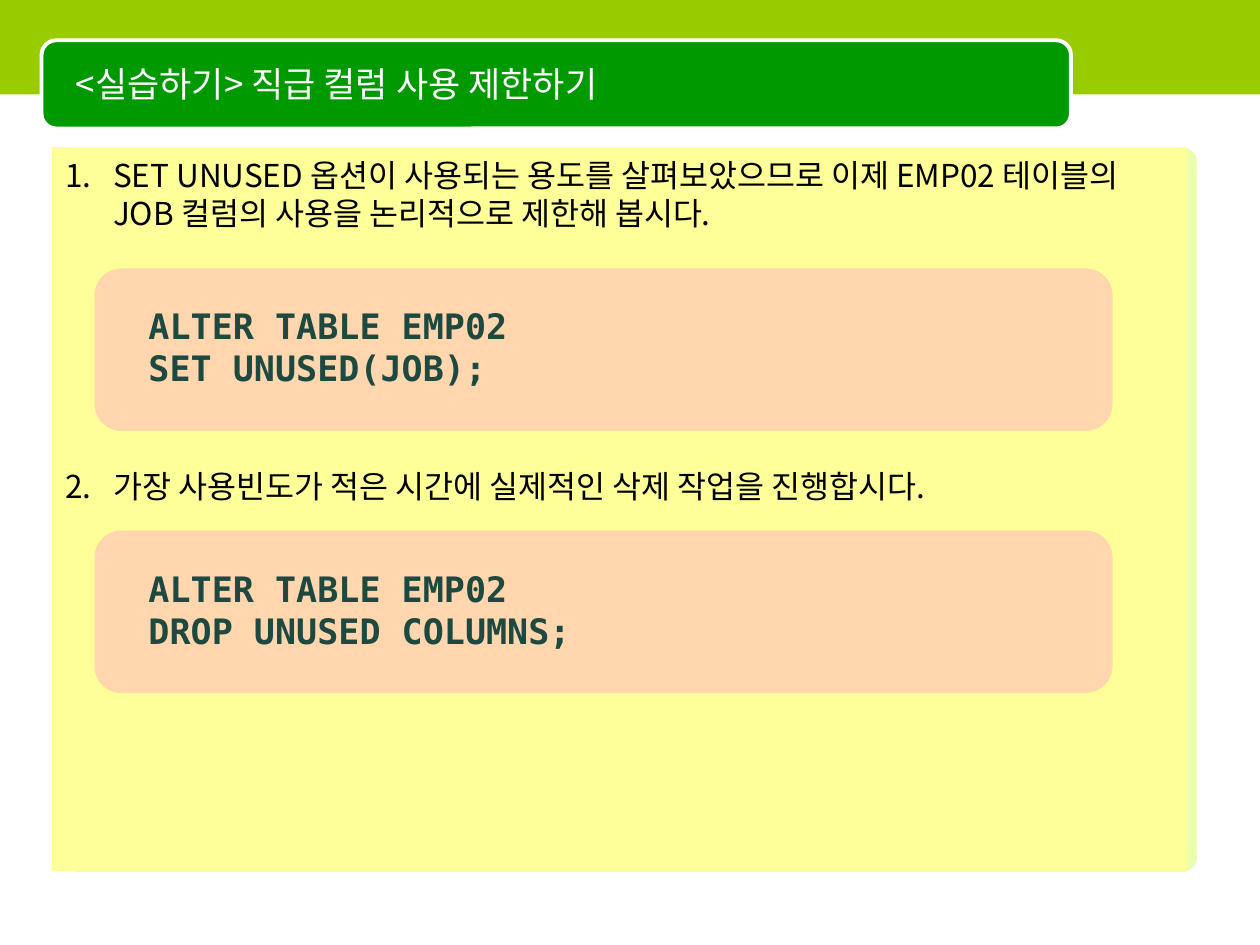
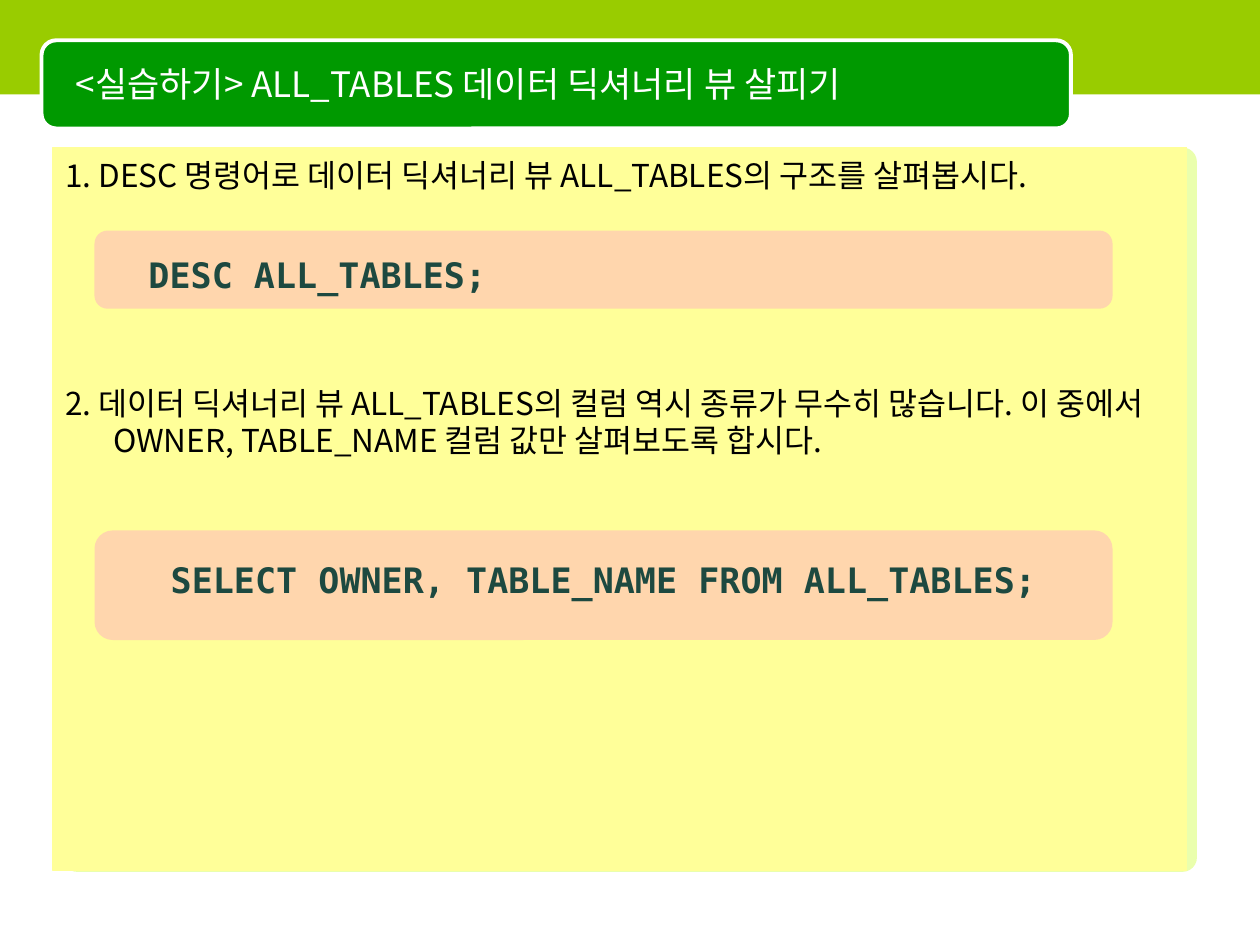
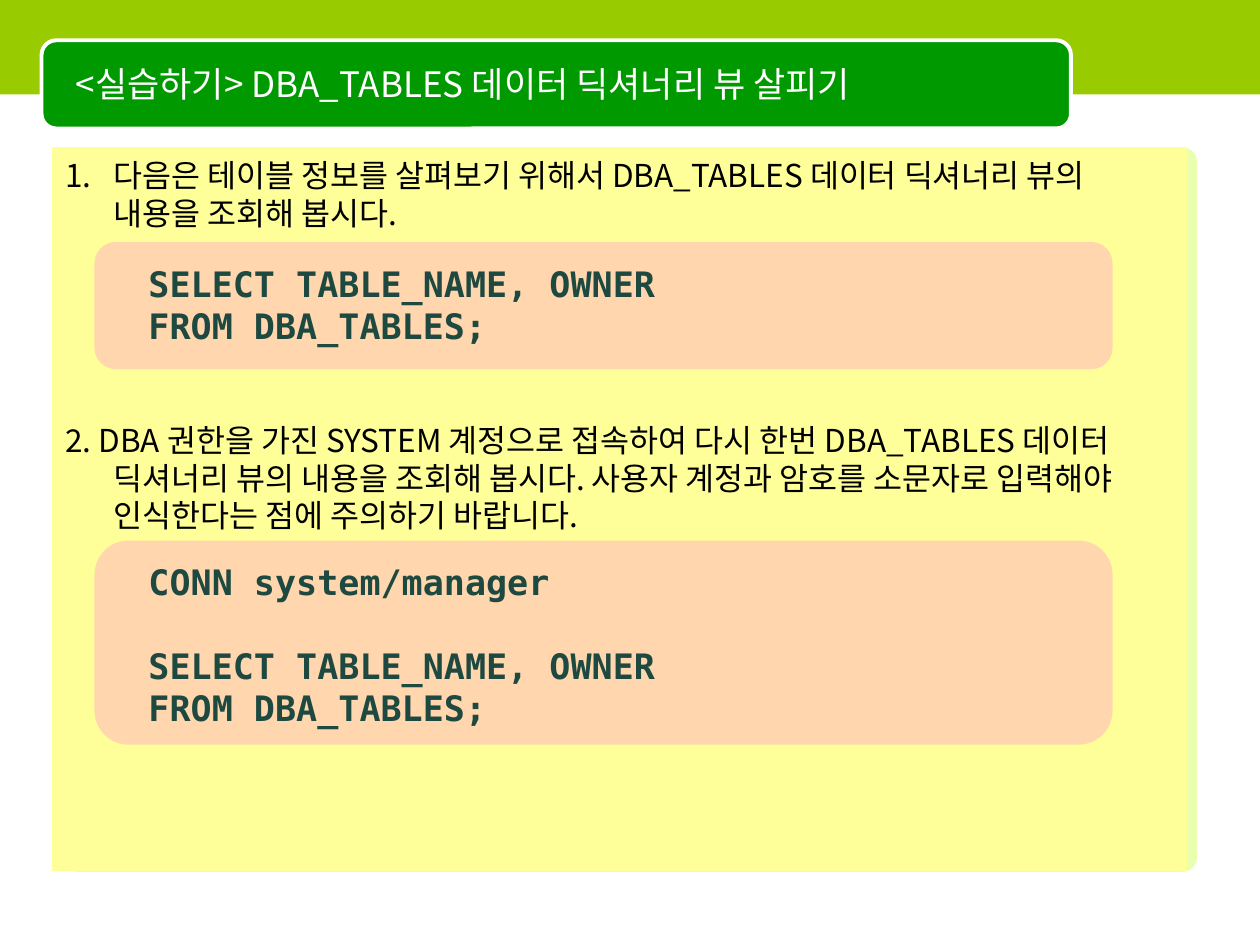
from dataclasses import dataclass

from lxml import etree
from pptx import Presentation
from pptx.dml.color import RGBColor
from pptx.enum.shapes import MSO_SHAPE
from pptx.enum.text import MSO_ANCHOR, MSO_AUTO_SIZE, PP_ALIGN
from pptx.oxml.ns import qn
from pptx.util import Inches, Pt

RECT = MSO_SHAPE.RECTANGLE
ROUND = MSO_SHAPE.ROUNDED_RECTANGLE
LEFT, CENTER = PP_ALIGN.LEFT, PP_ALIGN.CENTER
TOP, MIDDLE = MSO_ANCHOR.TOP, MSO_ANCHOR.MIDDLE
NO_FIT = MSO_AUTO_SIZE.NONE
TITLE_ONLY = 5


@dataclass(frozen=True)
class Theme:
    band: str = "99CC00"
    plate: str = "009900"
    edge: str = "CCFF33"
    panel: str = "FFFF99"
    card: str = "FF99CC"
    white: str = "FFFFFF"
    ink: str = "000000"
    code: str = "1D4940"
    font: str = "Noto Sans CJK KR"
    mono: str = "DejaVu Sans Mono"
    title_size: float = 20
    step_size: float = 18
    code_size: float = 20
    step_line: float = 21.5
    code_line: float = 24
    step_gap: float = 4.5
    alpha: int = 40
    hang: float = 0.38
    inset: float = 0.07


THEME = Theme()


def rgb(code):
    return RGBColor.from_string(code)


def place(shape, box):
    shape.left, shape.top, shape.width, shape.height = map(Inches, box)


def add_box(shapes, kind, box, fill, line=None, width=0.75, alpha=None, adj=None):
    shape = shapes.add_shape(kind, *map(Inches, box))
    shape.shadow.inherit = False
    shape.fill.solid()
    shape.fill.fore_color.rgb = rgb(fill)
    if alpha:
        color = next(shape.element.iter(qn("a:srgbClr")))
        etree.SubElement(color, qn("a:alpha"), val=str(alpha * 1000))
    if line:
        shape.line.color.rgb = rgb(line)
        shape.line.width = Pt(width)
    else:
        shape.line.fill.background()
    if adj is not None:
        shape.adjustments[0] = adj
    return shape


def style(shape, font, size, color, bold=False, align=LEFT, anchor=TOP):
    frame = shape.text_frame
    frame.word_wrap = True
    frame.auto_size = NO_FIT
    frame.vertical_anchor = anchor
    for para in frame.paragraphs:
        para.alignment = align
        for run in para.runs:
            run.font.name = font
            run.font.size = Pt(size)
            run.font.bold = bold
            run.font.color.rgb = rgb(color)
    for props in shape.element.iter(qn("a:rPr")):
        etree.SubElement(props, qn("a:ea"), typeface=font)


def fill_lines(frame, lines, pitch):
    """Write one paragraph per line with a fixed line pitch in points."""
    frame.text = "\n".join(lines)
    frame.margin_top = Inches(THEME.inset)
    for para in frame.paragraphs:
        para.line_spacing = Pt(pitch)


def add_frame(layout, slide):
    """Draw the shared background parts and move them to the layout."""
    shapes = slide.shapes
    parts = [
        add_box(shapes, ROUND, (0.5, 1.17, 9, 5.75), THEME.edge,
                alpha=THEME.alpha, adj=0.02),
        add_box(shapes, RECT, (0, 0, 10, 0.75), THEME.band),
        add_box(shapes, ROUND, (0.33, 0.32, 8.17, 0.7), THEME.plate,
                line=THEME.white, width=2.25),
    ]
    for part in parts:
        layout.shapes.element.append(part.element)


def add_title(slide, text):
    title = slide.shapes.title
    place(title, (0.5, 0.35, 7.92, 0.62))
    title.text_frame.text = text
    style(title, THEME.font, THEME.title_size, THEME.white, anchor=MIDDLE)


def add_steps(slide, steps, skip):
    """Write the steps, leaving room for skip lines between them."""
    panel = add_box(slide.shapes, RECT, (0.42, 1.17, 9, 5.74),
                    THEME.panel, line=THEME.panel)
    frame = panel.text_frame
    fill_lines(frame, steps, THEME.step_line)
    style(panel, THEME.font, THEME.step_size, THEME.ink)
    gap = THEME.step_gap + skip * (THEME.step_line + THEME.step_gap)
    for para in frame.paragraphs[1:]:
        para.space_before = Pt(gap)
    hang = Inches(THEME.hang)
    for props, step in zip(panel.element.iter(qn("a:pPr")), steps):
        props.set("marL", str(hang))
        props.set("indent", str(-hang))
        if not step[0].isdigit():
            etree.SubElement(props, qn("a:buAutoNum"), type="arabicPeriod")


def add_code(slide, top, height, drop, lines, align=LEFT, breaks=()):
    """Add a code card; lines indexed in breaks follow a one-line gap."""
    shapes = slide.shapes.add_group_shape().shapes
    add_box(shapes, ROUND, (0.75, top, 8.08, height), THEME.card, alpha=THEME.alpha)
    rows = len(lines) + len(breaks)
    box = (1.08, top + drop, 7.42, 0.1 + rows * THEME.code_line / 72)
    text = shapes.add_textbox(*map(Inches, box))
    fill_lines(text.text_frame, lines, THEME.code_line)
    style(text, THEME.mono, THEME.code_size, THEME.code, bold=True, align=align)
    for index in breaks:
        text.text_frame.paragraphs[index].space_before = Pt(THEME.code_line)


def add_slide(prs, title, steps, skip):
    slide = prs.slides.add_slide(prs.slide_layouts[TITLE_ONLY])
    add_title(slide, title)
    add_steps(slide, steps, skip)
    return slide


def main():
    prs = Presentation()
    prs.slide_width, prs.slide_height = Inches(10), Inches(7.5)

    unused = add_slide(prs, "<실습하기> 직급 컬럼 사용 제한하기", [
        "SET UNUSED 옵션이 사용되는 용도를 살펴보았으므로 이제 EMP02 테이블의 "
        "JOB 컬럼의 사용을 논리적으로 제한해 봅시다.",
        "가장 사용빈도가 적은 시간에 실제적인 삭제 작업을 진행합시다.",
    ], skip=5)
    add_frame(prs.slide_layouts[TITLE_ONLY], unused)
    add_code(unused, 2.13, 1.29, 0.22, ["ALTER TABLE EMP02", "SET UNUSED(JOB);"])
    add_code(unused, 4.21, 1.29, 0.22, ["ALTER TABLE EMP02", "DROP UNUSED COLUMNS;"])

    views = add_slide(prs, "<실습하기> ALL_TABLES 데이터 딕셔너리 뷰 살피기", [
        "1. DESC 명령어로 데이터 딕셔너리 뷰 ALL_TABLES의 구조를 살펴봅시다.",
        "2. 데이터 딕셔너리 뷰 ALL_TABLES의 컬럼 역시 종류가 무수히 많습니다. 이 "
        "중에서 OWNER, TABLE_NAME 컬럼 값만 살펴보도록 합시다.",
    ], skip=4)
    add_code(views, 1.83, 0.62, 0.11, ["DESC ALL_TABLES;"])
    add_code(views, 4.21, 0.87, 0.15,
             ["SELECT OWNER, TABLE_NAME FROM ALL_TABLES;"], align=CENTER)

    admin = add_slide(prs, "<실습하기> DBA_TABLES 데이터 딕셔너리 뷰 살피기", [
        "다음은 테이블 정보를 살펴보기 위해서 DBA_TABLES 데이터 딕셔너리 뷰의 "
        "내용을 조회해 봅시다.",
        "2. DBA 권한을 가진 SYSTEM 계정으로 접속하여 다시 한번 DBA_TABLES 데이터 "
        "딕셔너리 뷰의 내용을 조회해 봅시다. 사용자 계정과 암호를 소문자로 입력해야 "
        "인식한다는 점에 주의하기 바랍니다.",
    ], skip=4)
    query = ["SELECT TABLE_NAME, OWNER", "FROM DBA_TABLES;"]
    add_code(admin, 1.92, 1.01, 0.09, query)
    add_code(admin, 4.29, 1.62, 0.09, ["CONN system/manager", *query], breaks=(1,))

    prs.save("out.pptx")


if __name__ == "__main__":
    main()
